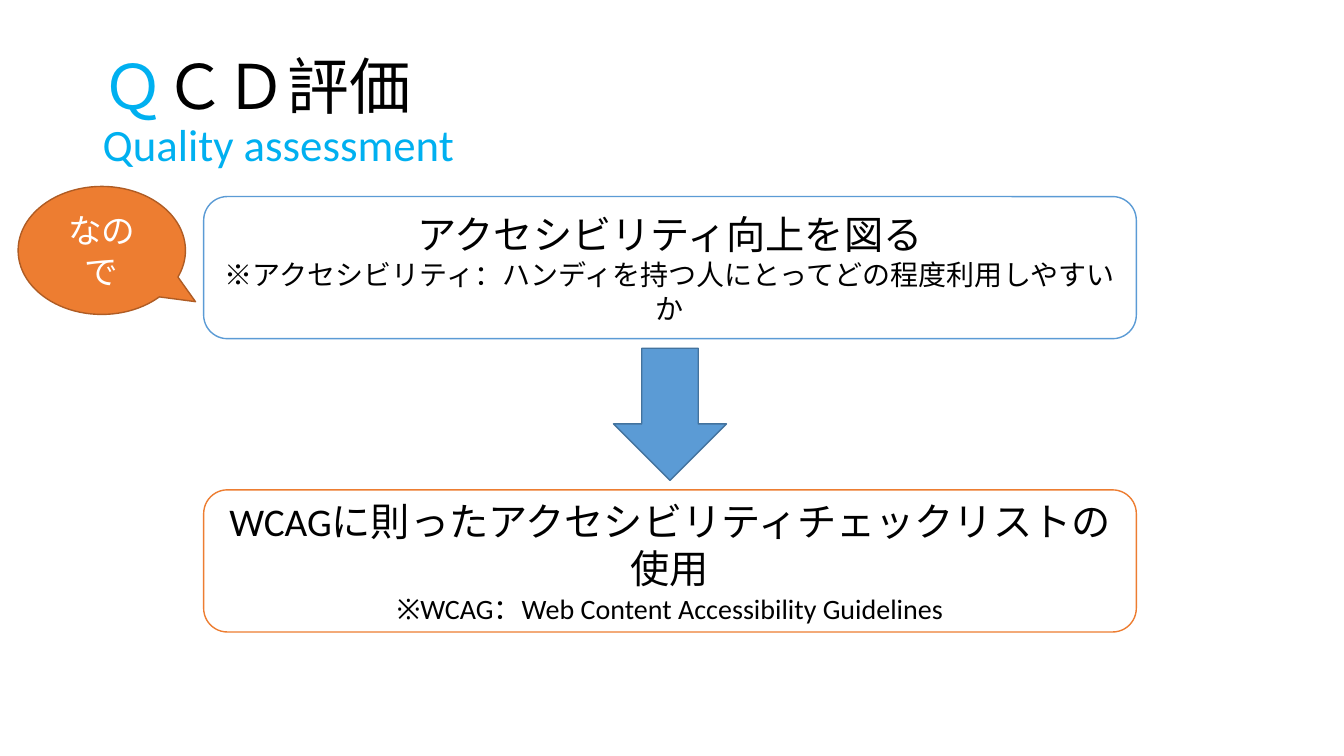
from pptx import Presentation
from pptx.util import Inches, Pt
from pptx.dml.color import RGBColor
from pptx.enum.shapes import MSO_SHAPE as Shape
from pptx.enum.text import PP_ALIGN as Align, MSO_ANCHOR as Anchor

FONT = "Calibri"
BLACK, WHITE, SKY = "000000", "FFFFFF", "00B0F0"
BLUE, NAVY, ORANGE, RUST = "5B9BD5", "43739E", "ED7D31", "AF5C24"


def paint(value):
    return RGBColor.from_string(value)


def style(run, size, color):
    run.font.name = FONT
    run.font.size = Pt(size)
    run.font.color.rgb = paint(color)


def add_form(slide, kind, box, fill, line, lines=(), color=BLACK):
    """Add a preset shape with centred lines given as (text, size)."""
    form = slide.shapes.add_shape(kind, *map(Inches, box))
    form.shadow.inherit = False
    form.fill.solid()
    form.fill.fore_color.rgb = paint(fill)
    form.line.color.rgb = paint(line)
    form.line.width = Pt(1)
    frame = form.text_frame
    frame.word_wrap = True
    frame.vertical_anchor = Anchor.MIDDLE
    frame.text = "\n".join(text for text, size in lines)
    for para, (text, size) in zip(frame.paragraphs, lines):
        para.alignment = Align.CENTER
        style(para.runs[0], size, color)
    return form


def add_title(slide, box):
    frame = slide.shapes.add_textbox(*map(Inches, box)).text_frame
    frame.word_wrap = True
    frame.vertical_anchor = Anchor.MIDDLE
    para = frame.paragraphs[0]
    para.line_spacing = 0.9
    parts = [("Ｑ", 44, SKY), ("ＣＤ評価", 44, BLACK),
             ("Quality assessment", 32, SKY)]
    for text, size, color in parts:
        if text == parts[-1][0]:
            para.add_line_break()
        run = para.add_run()
        run.text = text
        style(run, size, color)


def add_flow(slide, box):
    """Place goal, arrow and means from top to bottom of the box."""
    left, top, width, height = box
    card, wide, tall = 1.41, 1.12, 1.31
    steps = [
        (top, BLUE, [("アクセシビリティ向上を図る", 28),
                     ("※アクセシビリティ：ハンディを持つ人にとってどの程度利用しやすいか", 20)]),
        (top + height - card, ORANGE,
         [("WCAGに則ったアクセシビリティチェックリストの使用", 28),
          ("※WCAG：Web Content Accessibility Guidelines", 20)]),
    ]
    for y, line, lines in steps:
        add_form(slide, Shape.ROUNDED_RECTANGLE, (left, y, width, card),
                 WHITE, line, lines)
    # Arrow centred between the cards
    add_form(slide, Shape.DOWN_ARROW,
             (left + (width - wide) / 2, top + (height - tall) / 2, wide, tall),
             BLUE, NAVY)


def add_bubble(slide, box):
    bubble = add_form(slide, Shape.OVAL_CALLOUT, box, ORANGE, RUST,
                      [("なので", 24)], WHITE)
    bubble.adjustments[0] = 0.56
    bubble.adjustments[1] = 0.4


deck = Presentation()
deck.slide_width, deck.slide_height = Inches(13.33), Inches(7.5)
slide = deck.slides.add_slide(deck.slide_layouts[6])
add_title(slide, (0.92, 0.4, 11.5, 1.45))
add_flow(slide, (2.02, 1.95, 9.25, 4.32))
add_bubble(slide, (0.18, 1.85, 1.66, 1.27))
deck.save("out.pptx")
